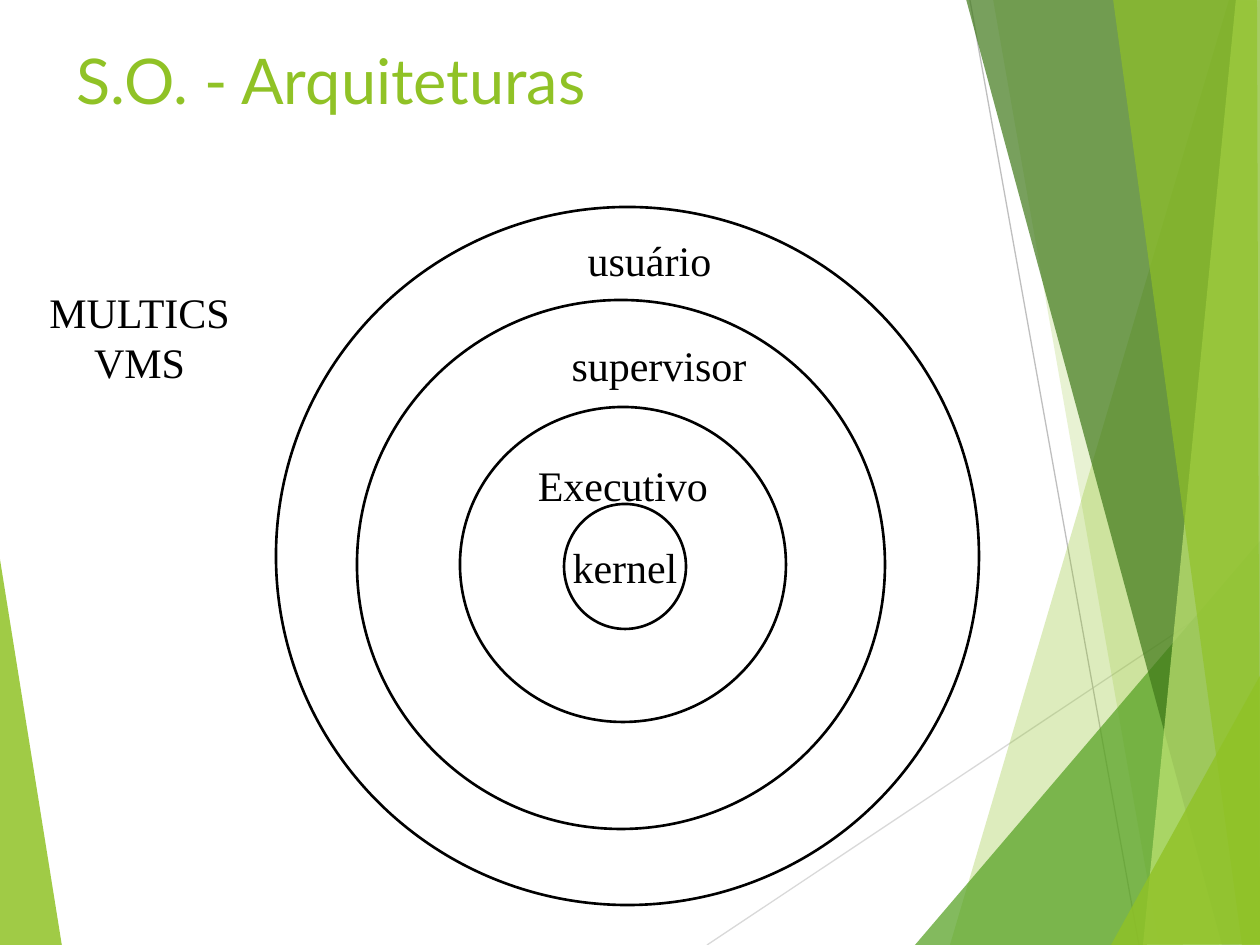
from lxml.etree import SubElement
from pptx import Presentation
from pptx.dml.color import RGBColor
from pptx.enum.shapes import MSO_CONNECTOR, MSO_SHAPE
from pptx.enum.text import MSO_ANCHOR, MSO_AUTO_SIZE, PP_ALIGN
from pptx.oxml.ns import qn
from pptx.util import Emu, Pt

SCALE = 914400 / 126  # EMU per px
SLIDE_W, SLIDE_H = 1260, 945

GREEN = RGBColor(0x90, 0xC2, 0x26)
MID_GREEN = RGBColor(0x54, 0xA0, 0x21)
DARK_GREEN = RGBColor(0x3F, 0x78, 0x19)
PALE_GREEN = RGBColor(0xC0, 0xE4, 0x74)
LIGHT_GREY = RGBColor(0xD9, 0xD9, 0xD9)
GREY = RGBColor(0xBF, 0xBF, 0xBF)
BLACK = RGBColor(0, 0, 0)
WHITE = RGBColor(0xFF, 0xFF, 0xFF)

# Backdrop: start, end, colour
LINES = [
    ((707, 945), (1261, 576), LIGHT_GREY),
    ((970, 0), (1139, 945), GREY),
]
# Backdrop: corners, colour, opacity in percent
LEFT_FACET = ([(-1, 553), (62, 946), (-1, 945)], GREEN, 85)
RIGHT_FACETS = [
    ([(1229, 0), (950, 945), (1262, 946), (1261, 1)], GREEN, 30),
    ([(993, -1), (1159, 945), (1261, 945), (1261, -1)], GREEN, 20),
    ([(915, 945), (1260, 541), (1261, 945)], MID_GREEN, 72),
    ([(966, -1), (1222, 945), (1261, 944), (1261, -1)], DARK_GREEN, 70),
    ([(1236, -1), (1143, 945), (1261, 945), (1260, -1)], PALE_GREEN, 70),
    ([(1113, -1), (1242, 945), (1260, 945), (1257, -1)], GREEN, 65),
    ([(1111, 945), (1261, 674), (1261, 944)], GREEN, 80),
]
# Rings from the outside in: box, inner label, label anchor
RINGS = [
    ((276, 207, 703, 698), "", MSO_ANCHOR.TOP),
    ((357, 300, 528, 529), "", MSO_ANCHOR.TOP),
    ((460, 407, 326, 315), "Executivo", MSO_ANCHOR.TOP),
    ((564, 504, 122, 125), "kernel", MSO_ANCHOR.MIDDLE),
]
LABELS = [
    ((559, 333, 200, 63), "supervisor"),
    ((575, 228, 149, 63), "usuário"),
    ((35, 280, 209, 113), "MULTICS\nVMS"),
]


def px(n):
    return Emu(round(n * SCALE))


def add_facet(s, points, color, opacity):
    builder = s.shapes.build_freeform(*points[0], scale=SCALE)
    builder.add_line_segments(points[1:], close=True)
    sp = builder.convert_to_shape()
    sp.shadow.inherit = False
    sp.line.fill.background()
    sp.fill.solid()
    sp.fill.fore_color.rgb = color
    clr = sp.element.spPr.find(qn("a:solidFill"))[0]
    SubElement(clr, qn("a:alpha"), val=str(opacity * 1000))


def add_line(s, start, end, color):
    line = s.shapes.add_connector(
        MSO_CONNECTOR.STRAIGHT, *map(px, start + end))
    line.line.color.rgb = color
    line.line.width = Pt(0.75)
    SubElement(line.element.spPr, qn("a:effectLst"))


def set_label(sp, text, anchor):
    tf = sp.text_frame
    tf.text = text
    tf.word_wrap = False
    tf.vertical_anchor = anchor
    for p in tf.paragraphs:
        p.alignment = PP_ALIGN.CENTER
        p.font.name = "Times New Roman"
        p.font.size = Pt(24)
        p.font.color.rgb = BLACK


def add_ring(s, box, text, anchor):
    sp = s.shapes.add_shape(MSO_SHAPE.OVAL, *map(px, box))
    sp.shadow.inherit = False
    sp.fill.solid()
    sp.fill.fore_color.rgb = WHITE
    sp.line.color.rgb = BLACK
    sp.line.width = Pt(1.5)
    if text:
        set_label(sp, text, anchor)


def add_label(s, box, text):
    sp = s.shapes.add_textbox(*map(px, box))
    set_label(sp, text, MSO_ANCHOR.MIDDLE)
    sp.text_frame.auto_size = MSO_AUTO_SIZE.SHAPE_TO_FIT_TEXT


def set_title(s, text):
    title = s.shapes.title
    title.left, title.top, title.width, title.height = map(
        px, (64, 35, 1134, 189))
    tf = title.text_frame
    tf.text = text
    tf.vertical_anchor = MSO_ANCHOR.TOP
    p = tf.paragraphs[0]
    p.alignment = PP_ALIGN.LEFT
    p.font.name = "Lato"
    p.font.size = Pt(36)
    p.font.color.rgb = GREEN
    # Bring the title in front of the backdrop
    title.element.getparent().append(title.element)


def main():
    prs = Presentation()
    prs.slide_width, prs.slide_height = px(SLIDE_W), px(SLIDE_H)
    s = prs.slides.add_slide(prs.slide_layouts[5])

    # Backdrop
    add_facet(s, *LEFT_FACET)
    for line in LINES:
        add_line(s, *line)
    for facet in RIGHT_FACETS:
        add_facet(s, *facet)

    set_title(s, "S.O. - Arquiteturas")

    # Layers of the operating system
    for ring in RINGS:
        add_ring(s, *ring)
    for label in LABELS:
        add_label(s, *label)

    prs.save("out.pptx")


if __name__ == "__main__":
    main()
